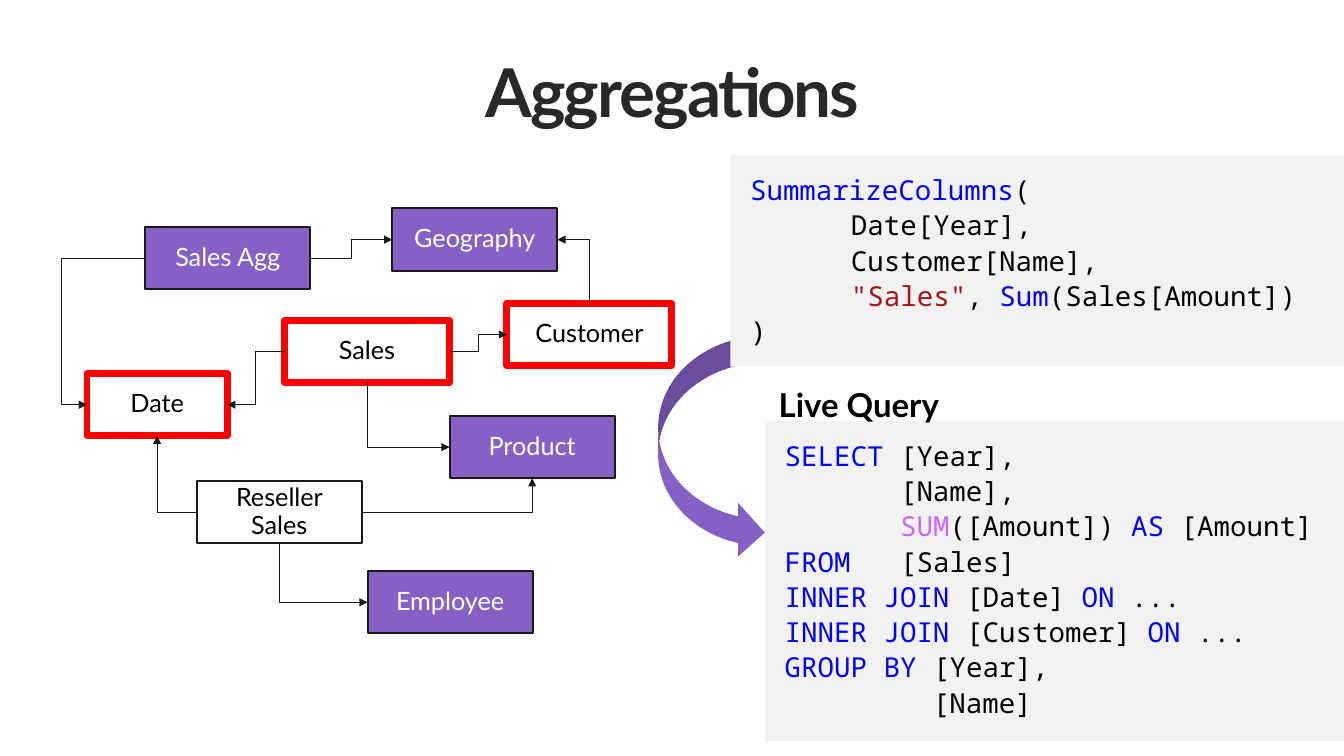
import pptx
import pptx.util
import pptx.dml.color
import pptx.enum.shapes
import pptx.enum.text
import pptx.oxml
import pptx.oxml.ns

Inches = pptx.util.Inches
Pt = pptx.util.Pt
Shapes = pptx.enum.shapes.MSO_SHAPE
Align = pptx.enum.text.PP_ALIGN
Anchor = pptx.enum.text.MSO_ANCHOR

COLORS = {
    "purple": "8661C5", "white": "FFFFFF", "black": "000000", "ink": "1A1A1A",
    "title": "282828", "red": "FF0000", "panel": "F2F2F2",
    "keyword": "0000FF", "function": "CC66FF", "string": "A31515",
}
TOP, LEFT, BOTTOM, RIGHT = range(4)  # connection sites of a rectangle


def color(name):
    return pptx.dml.color.RGBColor.from_string(COLORS[name])


def add_xml(parent, tag, **attributes):
    child = pptx.oxml.parse_xml(f"<a:{tag} {pptx.oxml.ns.nsdecls('a')}/>")
    for key, value in attributes.items():
        child.set(key, str(value))
    parent.append(child)
    return child


class SlideBuilder:
    text_font = "Lato"
    code_font = "Noto Sans Mono"

    def __init__(self, page):
        self.page = page

    def frame(self, box, margins=(0.2, 0.16), anchor=Anchor.TOP, wrap=True):
        frame = box.text_frame
        frame.word_wrap = wrap
        frame.vertical_anchor = anchor
        frame.margin_left = frame.margin_right = Inches(margins[0])
        frame.margin_top = frame.margin_bottom = Inches(margins[1])
        return frame

    def span(self, para, text, size, ink, font=text_font, bold=False):
        span = para.add_run()
        span.text = text
        span.font.name = font
        span.font.size = Pt(size)
        span.font.bold = bold
        span.font.color.rgb = color(ink)
        return span

    def shape(self, kind, place, fill, line=None, line_width=0):
        shape = self.page.shapes.add_shape(kind, *map(Inches, place))
        shape.shadow.inherit = False
        shape.fill.solid()
        shape.fill.fore_color.rgb = color(fill)
        if line:
            shape.line.color.rgb = color(line)
            shape.line.width = Pt(line_width)
        else:
            shape.line.fill.background()
        return shape

    def heading(self, text, place, size, ink, margins=(0.2, 0.16), wrap=True,
                align=Align.LEFT, line_spacing=1.0, tracking=0):
        box = self.page.shapes.add_textbox(*map(Inches, place))
        para = self.frame(box, margins, wrap=wrap).paragraphs[0]
        para.alignment = align
        para.line_spacing = line_spacing
        span = self.span(para, text, size, ink, bold=True)
        if tracking:
            span.font._element.set("spc", str(int(tracking * 100)))

    def table_box(self, name, left, top, style, width=1.67):
        fill, ink, line, line_width = style
        box = self.shape(Shapes.RECTANGLE, (left, top, width, 0.63), fill, line, line_width)
        para = self.frame(box, anchor=Anchor.MIDDLE).paragraphs[0]
        para.alignment = Align.CENTER
        para.line_spacing = 0.9
        self.span(para, name, 18.4, ink)
        return box

    def elbow(self, start, start_site, end, end_site, bend=None):
        """Arrow from start to end; a corner leaves its first box sideways."""
        corner = (start_site in (TOP, BOTTOM)) != (end_site in (TOP, BOTTOM))
        swap = corner and start_site in (TOP, BOTTOM)
        if swap:
            start, start_site, end, end_site = end, end_site, start, start_site
        link = self.page.shapes.add_connector(
            pptx.enum.shapes.MSO_CONNECTOR.ELBOW, 0, 0, 0, 0)
        link.begin_connect(start, start_site)
        link.end_connect(end, end_site)
        link.line.color.rgb = color("ink")
        link.line.width = Pt(0.75)
        add_xml(link.line._get_or_add_ln(), "headEnd" if swap else "tailEnd", type="triangle")
        properties = link._element.spPr
        add_xml(properties, "effectLst")
        geometry = properties.find(pptx.oxml.ns.qn("a:prstGeom"))
        if corner:
            geometry.set("prst", "bentConnector2")
        if bend:
            guides = geometry.find(pptx.oxml.ns.qn("a:avLst"))
            add_xml(guides, "gd", name="adj1", fmla=f"val {int(bend * 100000)}")

    def code_panel(self, place, lines, tab=None):
        frame = self.frame(self.shape(Shapes.RECTANGLE, place, "panel"))
        for index, line in enumerate(lines):
            para = frame.paragraphs[0] if index == 0 else frame.add_paragraph()
            para.alignment = Align.LEFT
            para.line_spacing = 1.07
            if tab:
                stops = add_xml(para._p.get_or_add_pPr(), "tabLst")
                add_xml(stops, "tab", pos=Inches(tab), algn="l")
            for text, ink in line:
                self.span(para, text, 20, ink, self.code_font)


PLAIN = ("white", "black", "ink", 1.5)
FILLED = ("purple", "white", "ink", 1.5)
MARKED = ("white", "black", "red", 5)

DAX_LINES = [
    [("SummarizeColumns", "keyword"), ("(", "black")],
    [("\tDate[Year],", "black")],
    [("\tCustomer[Name],", "black")],
    [("\t", "black"), ('"Sales"', "string"), (", ", "black"),
     ("Sum", "keyword"), ("(Sales[Amount])", "black")],
    [(")", "black")],
]
SQL_LINES = [
    [("SELECT ", "keyword"), ("[Year],", "black")],
    [("       [Name],", "black")],
    [("       ", "black"), ("SUM", "function"), ("([Amount]) ", "black"),
     ("AS", "keyword"), (" [Amount]", "black")],
    [("FROM", "keyword"), ("   [Sales]", "black")],
    *[[("INNER JOIN ", "keyword"), (f"[{table}] ", "black"),
       ("ON ", "keyword"), ("...", "black")] for table in ("Date", "Customer")],
    [("GROUP BY ", "keyword"), ("[Year],", "black")],
    [("         [Name]", "black")],
]


def main():
    deck = pptx.Presentation()
    deck.slide_width, deck.slide_height = Inches(13.6), Inches(7.65)
    slide = SlideBuilder(deck.slides.add_slide(deck.slide_layouts[6]))

    # Title
    slide.heading("Aggregations", (0.66, 0.51, 12.29, 0.62), 49, "title",
                  margins=(0, 0), align=Align.CENTER, tracking=-1.4)

    # Tables of the model
    sales = slide.table_box("Sales", 2.88, 3.24, MARKED)
    sales_agg = slide.table_box("Sales Agg", 1.47, 2.3, FILLED)
    date = slide.table_box("Date", 0.88, 3.78, MARKED, width=1.42)
    employee = slide.table_box("Employee", 3.72, 5.78, FILLED)
    reseller = slide.table_box("Reseller Sales", 1.99, 4.87, PLAIN)
    customer = slide.table_box("Customer", 5.13, 3.07, MARKED)
    geography = slide.table_box("Geography", 3.97, 2.11, FILLED)
    product = slide.table_box("Product", 4.55, 4.21, FILLED)

    # Relationships
    slide.elbow(sales, LEFT, date, RIGHT)
    slide.elbow(sales, RIGHT, customer, LEFT)
    slide.elbow(sales, BOTTOM, product, LEFT)
    slide.elbow(sales_agg, LEFT, date, LEFT, bend=1.43)
    slide.elbow(sales_agg, RIGHT, geography, LEFT)
    slide.elbow(customer, TOP, geography, RIGHT)
    slide.elbow(reseller, LEFT, date, BOTTOM)
    slide.elbow(reseller, RIGHT, product, BOTTOM)
    slide.elbow(reseller, BOTTOM, employee, LEFT)

    # Query and its translation
    slide.shape(Shapes.CURVED_RIGHT_ARROW, (6.66, 3.4, 1.08, 2.26), "purple")
    slide.code_panel((7.74, 4.26, 6.7, 3.24), SQL_LINES)
    slide.code_panel((7.39, 1.57, 6.46, 2.14), DAX_LINES, tab=1.02)
    slide.heading("Live Query", (7.68, 3.78, 2.36, 0.69), 24, "black",
                  wrap=False, line_spacing=0.9)

    deck.save("out.pptx")


if __name__ == "__main__":
    main()
